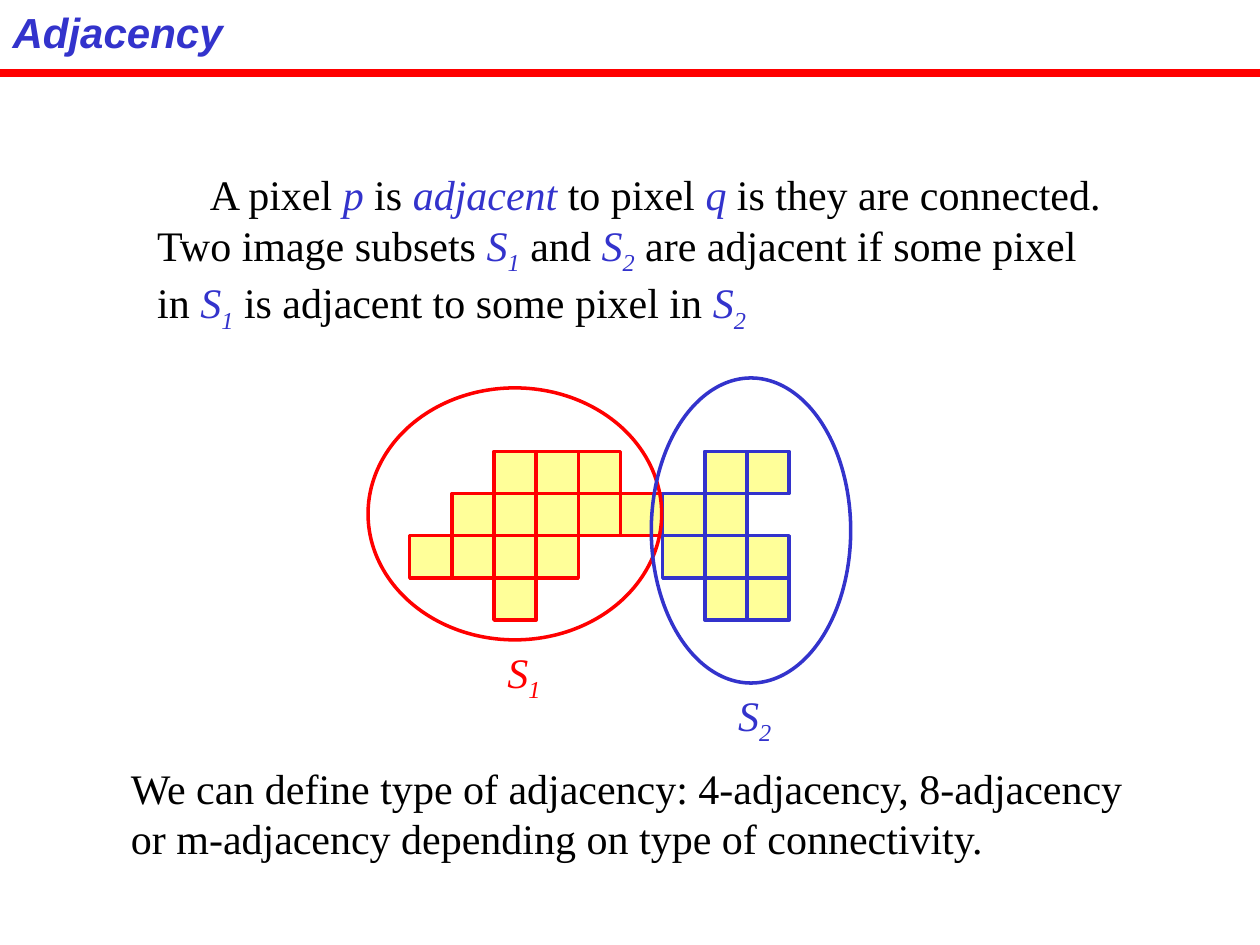
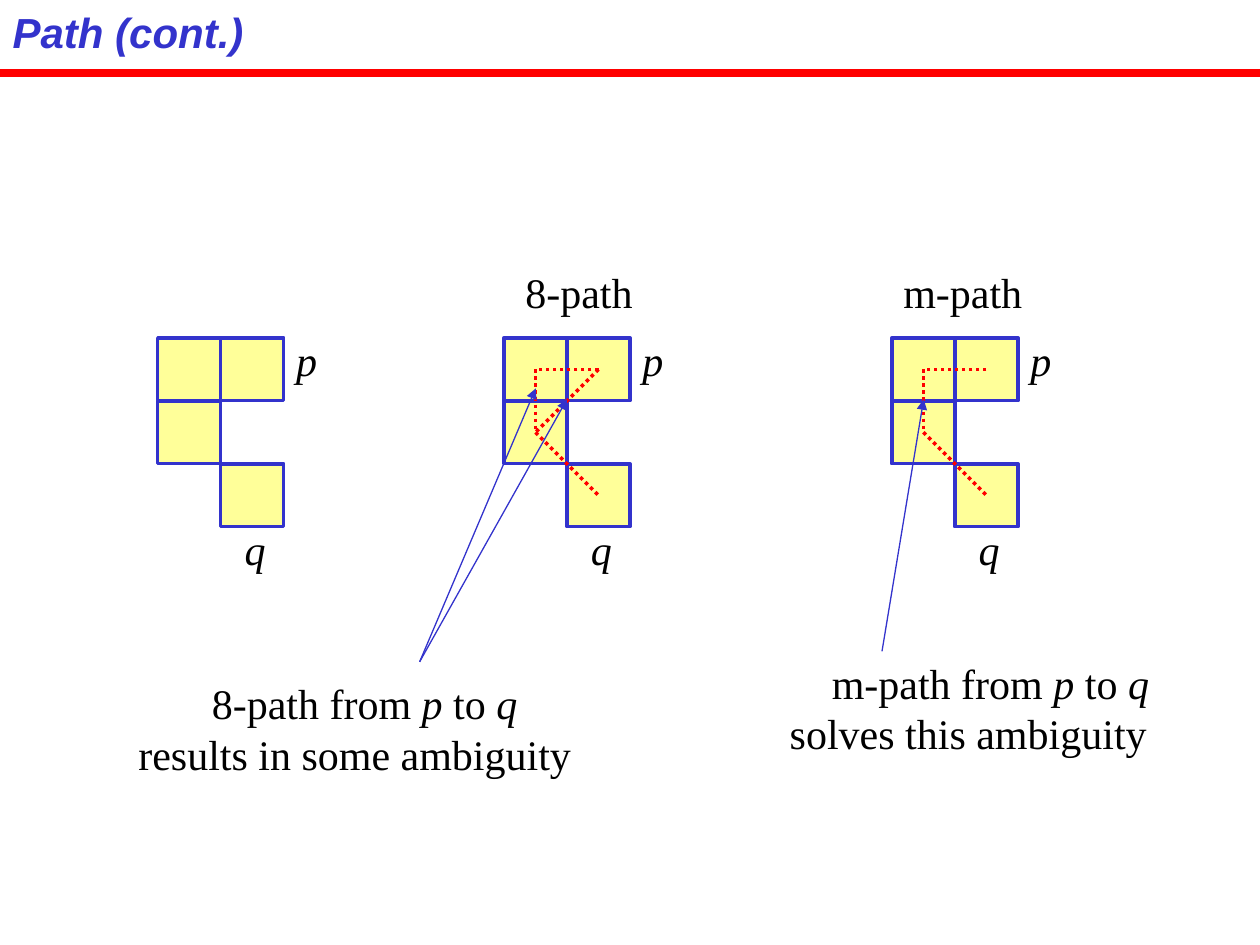
from itertools import pairwise

from lxml import etree
from pptx import Presentation
from pptx.dml.color import RGBColor
from pptx.enum import dml, shapes, text
from pptx.oxml.ns import qn
from pptx.util import Cm, Pt

BLUE = RGBColor(0x33, 0x33, 0xCC)
RED = RGBColor(0xFF, 0x00, 0x00)
BLACK = RGBColor(0x00, 0x00, 0x00)
YELLOW = RGBColor(0xFF, 0xFF, 0x99)
TITLE_FONT = "Arial"
BODY_FONT = "Times New Roman"
SLIDE_WIDTH, SLIDE_HEIGHT = 25.4, 19.05
SUBSET_CELL = 0.85
PATH_CELL = 1.27
S1_CELLS = ("..###.", ".#####", "####..", "..#...")
S2_CELLS = (".##", "##.", "###", ".##")
PATH_CELLS = ("##", "#.", ".#")
P_CENTRE, CORNER, TURN, Q_CENTRE = (1.5, 0.5), (0.5, 0.5), (0.5, 1.5), (1.5, 2.5)


def write(frame, lines, font=BODY_FONT, color=BLACK, accent=None, bold=False,
          italic=False, first_indent=0):
    """Words between asterisks are emphasised; an underscore starts a subscript."""
    frame.word_wrap = True
    frame.vertical_anchor = text.MSO_ANCHOR.TOP
    for number, line in enumerate(lines):
        paragraph = frame.paragraphs[0] if number == 0 else frame.add_paragraph()
        paragraph.alignment = text.PP_ALIGN.LEFT
        if number == 0 and first_indent:
            properties = paragraph._p.get_or_add_pPr()
            properties.set("marL", "0")
            properties.set("indent", str(Cm(first_indent)))
        for part, words in enumerate(line.split("*")):
            emphasised = part % 2 == 1
            for level, piece in enumerate(words.split("_")):
                if not piece:
                    continue
                run = paragraph.add_run()
                run.text = piece
                run.font.name = font
                run.font.size = Pt(24)
                run.font.bold = bold
                run.font.italic = italic or emphasised
                run.font.color.rgb = accent if emphasised and accent else color
                if level:
                    run._r.get_or_add_rPr().set("baseline", "-25000")


def add_text(parent, left, top, width, height, *lines, **style):
    box = parent.shapes.add_textbox(Cm(left), Cm(top), Cm(width), Cm(height))
    write(box.text_frame, lines, **style)


def add_outline(parent, kind, left, top, width, height, color, fill=None):
    outline = parent.shapes.add_shape(kind, Cm(left), Cm(top), Cm(width), Cm(height))
    outline.shadow.inherit = False
    outline.line.color.rgb = color
    outline.line.width = Pt(2)
    if fill is None:
        outline.fill.background()
    else:
        outline.fill.solid()
        outline.fill.fore_color.rgb = fill


def add_line(parent, start, end, color, width, dotted=False, arrow=False):
    line = parent.shapes.add_connector(
        shapes.MSO_CONNECTOR.STRAIGHT, *(Cm(value) for value in (*start, *end)))
    line.line.color.rgb = color
    line.line.width = Pt(width)
    if dotted:
        line.line.dash_style = dml.MSO_LINE.ROUND_DOT
    if arrow:
        etree.SubElement(line.line._get_or_add_ln(), qn("a:tailEnd"), type="triangle")
    etree.SubElement(line.element.spPr, qn("a:effectLst"))
    return line


def add_cells(parent, left, top, size, rows, color):
    for row, marks in enumerate(rows):
        for column, mark in enumerate(marks):
            if mark == "#":
                add_outline(parent, shapes.MSO_SHAPE.RECTANGLE, left + column * size,
                            top + row * size, size, size, color, YELLOW)


def add_title_slide(prs, layout, title):
    slide = prs.slides.add_slide(layout)
    heading = slide.shapes.title
    heading.left, heading.top = Cm(0), Cm(0)
    heading.width, heading.height = Cm(SLIDE_WIDTH), Cm(1.27)
    write(heading.text_frame, [title], font=TITLE_FONT, color=BLUE, bold=True, italic=True)
    return slide


def move_rule_to_layout(slide, layout):
    rule = add_line(slide, (0, 1.48), (SLIDE_WIDTH, 1.48), RED, 4.5)
    rule.element.nvCxnSpPr.cNvPr.set("id", "20")
    layout.shapes.element.append(rule.element)


def add_subset_figure(slide, left, top):
    figure = slide.shapes.add_group_shape()
    add_cells(figure, left, top, SUBSET_CELL, S1_CELLS, RED)
    add_cells(figure, left + 6 * SUBSET_CELL, top, SUBSET_CELL, S2_CELLS, BLUE)
    oval = shapes.MSO_SHAPE.OVAL
    add_outline(figure, oval, left - 0.84, top - 1.28, 5.92, 5.08, RED)
    add_outline(figure, oval, left + 4.87, top - 1.48, 4.02, 6.15, BLUE)
    add_text(figure, left + 1.72, top + 3.8, 1.6, 1.42, "*S_1*", color=RED)
    add_text(figure, left + 6.37, top + 4.67, 1.6, 1.42, "*S_2*", color=BLUE)


def add_path_figure(slide, left, top):
    figure = slide.shapes.add_group_shape()
    add_cells(figure, left, top, PATH_CELL, PATH_CELLS, BLUE)
    add_text(figure, left + 2.54, top - 0.2, 1.2, 1.27, "*p*")
    add_text(figure, left + 1.5, top + 3.61, 1.2, 1.27, "*q*")


def add_path(slide, left, top, *stops):
    points = [(left + x * PATH_CELL, top + y * PATH_CELL) for x, y in stops]
    for start, end in pairwise(points):
        add_line(slide, start, end, RED, 2, dotted=True)


def add_pointers(slide, left, top, start, *targets):
    for x, y in targets:
        add_line(slide, (left + start[0], top + start[1]), (left + x, top + y),
                 BLUE, 0.75, arrow=True)


def build_adjacency(prs, layout):
    slide = add_title_slide(prs, layout, "Adjacency")
    add_text(slide, 2.92, 3.28, 20.5, 3.58,
             "A pixel *p* is *adjacent* to pixel *q* is they are connected.",
             "Two image subsets *S_1* and *S_2* are adjacent if some pixel",
             "in *S_1* is adjacent to some pixel in *S_2*",
             accent=BLUE, first_indent=1.06)
    add_subset_figure(slide, 8.26, 9.1)
    add_text(slide, 2.39, 15.24, 21.5, 2.29,
             "We can define type of adjacency: 4-adjacency, 8-adjacency",
             "or m-adjacency depending on type of connectivity.")
    return slide


def build_path(prs, layout):
    slide = add_title_slide(prs, layout, "Path (cont.)")
    top = 6.81
    plain, eight, mixed = 3.18, 10.16, 17.98
    for left in (plain, eight, mixed):
        add_path_figure(slide, left, top)

    add_path(slide, eight, top, P_CENTRE, CORNER, TURN, Q_CENTRE)
    add_path(slide, eight, top, P_CENTRE, TURN)
    add_path(slide, mixed, top, P_CENTRE, CORNER, TURN, Q_CENTRE)

    add_text(slide, eight + 0.18, top - 1.57, 3.2, 1.27, "8-path")
    add_text(slide, mixed - 0.02, top - 1.57, 3.2, 1.27, "m-path")
    add_text(slide, eight - 7.62, top + 6.73, 10, 2.29,
             "8-path from *p* to *q*", "results in some ambiguity", first_indent=1.48)
    add_text(slide, mixed - 2.31, top + 6.32, 8.5, 2.29,
             "m-path from *p* to *q*", "solves this ambiguity", first_indent=0.85)

    add_pointers(slide, eight, top, (-1.7, 6.53), (1.27, 1.24), (0.64, 1.02))
    add_pointers(slide, mixed, top, (-0.2, 6.32), (0.64, 1.24))


def main():
    prs = Presentation()
    prs.slide_width, prs.slide_height = Cm(SLIDE_WIDTH), Cm(SLIDE_HEIGHT)
    title_only = prs.slide_layouts[5]
    adjacency = build_adjacency(prs, title_only)
    move_rule_to_layout(adjacency, title_only)
    build_path(prs, title_only)
    prs.save("out.pptx")


if __name__ == "__main__":
    main()
